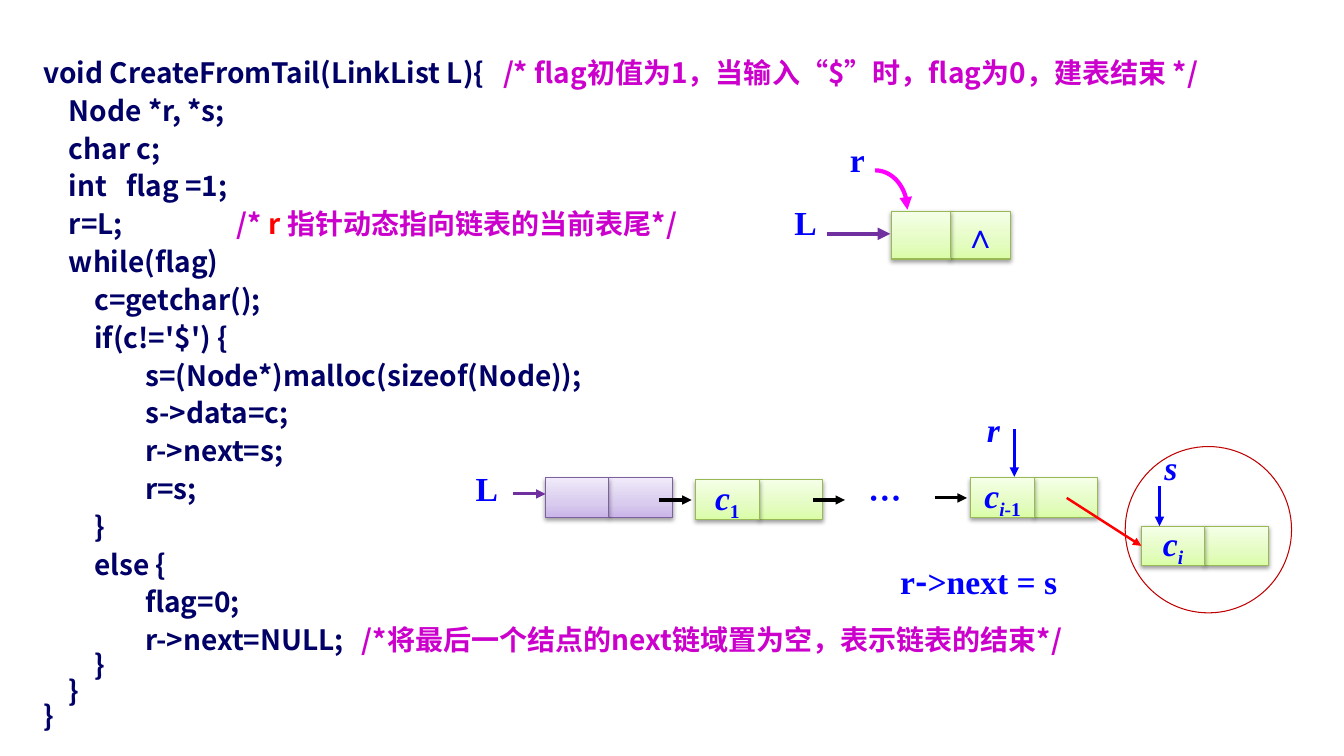
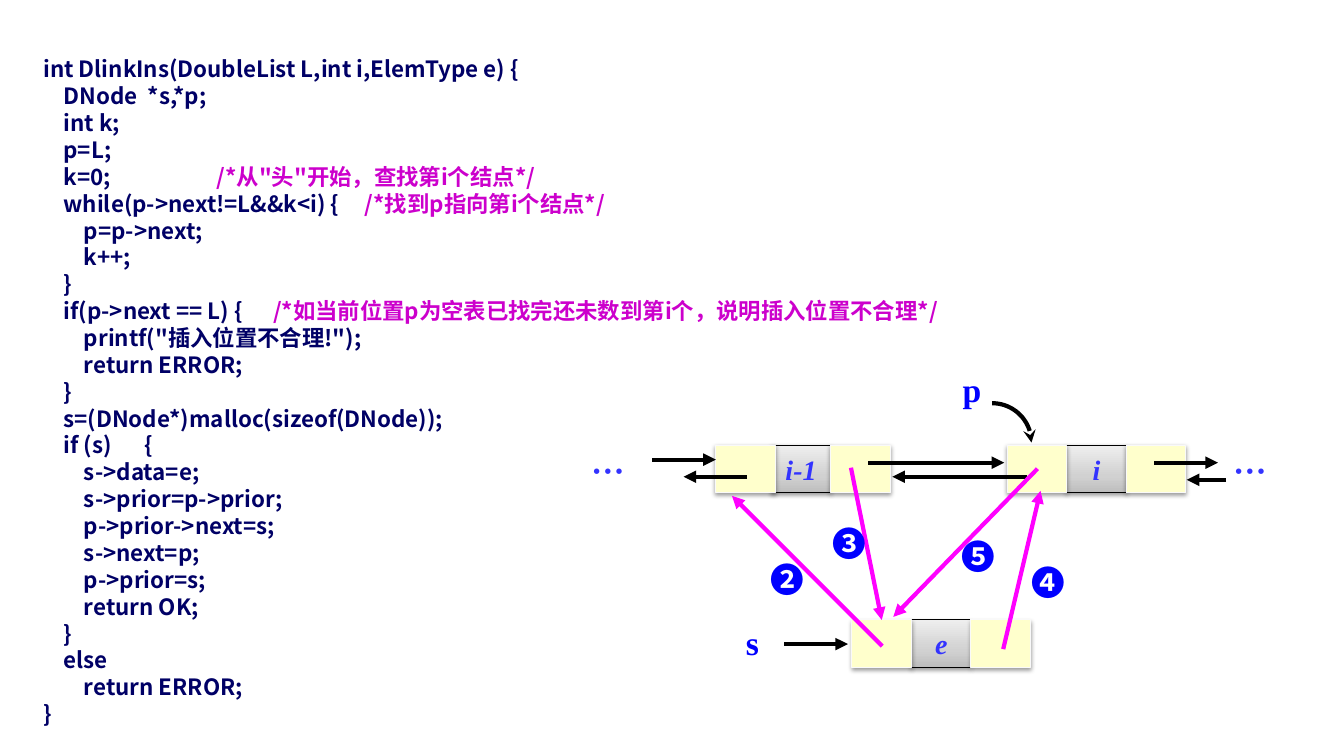
import dataclasses
import math
import lxml.etree
import pptx
import pptx.util
import pptx.dml.color
import pptx.enum.shapes
import pptx.enum.text
import pptx.oxml.ns

Shape = pptx.enum.shapes.MSO_SHAPE
Align = pptx.enum.text.PP_ALIGN
Pt = pptx.util.Pt
qn = pptx.oxml.ns.qn


@dataclasses.dataclass(frozen=True)
class Theme:
    """Colours, faces and type sizes shared by the slides."""
    code: str = "000066"
    note: str = "CC00CC"
    hot: str = "FF0000"
    blue: str = "0000FF"
    pale: str = "3333FF"
    black: str = "000000"
    pink: str = "FF00FF"
    plum: str = "7030A0"
    ring: str = "C00000"
    sans: str = "Noto Sans CJK SC"
    serif: str = "Times New Roman"
    big: int = 24
    mid: int = 20
    small: int = 16
    green: tuple = (("DAFDA7", "E4FCC2", "F5FFE7"), "98B955")
    mauve: tuple = (("C9B5E8", "D8CBEE", "F0EAF9"), "7D60A0")
    grey: tuple = (("BDBDBD", "D1D1D1", "EEEEEE"), "000000")
    cream: tuple = (("FFFFCC",), "F9F9F9")


T = Theme()


def px(n):
    """Turn px into EMU."""
    return pptx.util.Emu(int(n * 9144))


def rgb(ink):
    """Turn a hex string into a colour."""
    return pptx.dml.color.RGBColor.from_string(ink)


def node(up, tag, **at):
    """Append an XML element to a parent."""
    return lxml.etree.SubElement(up, qn(tag), at)


def write(para, text, ink, size, face, slant=None, base=0):
    """Add one bold run to a paragraph."""
    run = para.add_run()
    run.text = text
    font = run.font
    font.size, font.bold, font.name = Pt(size), True, face
    font.italic = slant
    font.color.rgb = rgb(ink)
    props = run._r.get_or_add_rPr()
    node(props, "a:ea", typeface=face)
    if base:
        props.set("baseline", str(base * 1000))


def stroke(shape, ink, wide, tip=None):
    """Style an outline, with an arrowhead at its end if asked."""
    shape.line.color.rgb = rgb(ink)
    shape.line.width = Pt(wide)
    if tip:
        node(shape.line._get_or_add_ln(), "a:tailEnd", type=tip)


def shade(shape, inks):
    """Fill a shape with one colour or a rising three-stop blend."""
    if len(inks) == 1:
        shape.fill.solid()
        shape.fill.fore_color.rgb = rgb(inks[0])
        return
    shape.fill.gradient()
    props = shape._element.spPr
    stops = props.find(".//" + qn("a:gsLst"))
    for old in list(stops):
        stops.remove(old)
    for pos, ink in zip((0, 35, 100), inks):
        node(node(stops, "a:gs", pos=str(pos * 1000)), "a:srgbClr", val=ink)
    props.find(".//" + qn("a:lin")).set("ang", "16200000")


class Pen:
    """Draws diagram parts relative to a corner of a slide."""

    def __init__(self, slide, x, y):
        """Keep the shape tree and the corner."""
        self.tree, self.x, self.y = slide.shapes, x, y

    def spot(self, x, y):
        """Place a relative point on the slide."""
        return px(self.x + x), px(self.y + y)

    def form(self, kind, x, y, w, h, ink, wide):
        """Draw an unfilled preset shape."""
        shape = self.tree.add_shape(kind, *self.spot(x, y), px(w), px(h))
        shape.fill.background()
        shape.shadow.inherit = False
        stroke(shape, ink, wide)
        return shape

    def sweep(self, x, y, w, h, ink, tip):
        """Draw a quarter turn from the top left to the bottom right."""
        turns = [math.pi / 2 * n / 24 for n in range(25)]
        dots = [self.spot(x + w * math.sin(a), y + h - h * math.cos(a)) for a in turns]
        trace = self.tree.build_freeform(*dots[0])
        trace.add_line_segments(dots[1:], close=False)
        shape = trace.convert_to_shape()
        shape.fill.background()
        shape.shadow.inherit = False
        stroke(shape, ink, 3, tip)

    def cell(self, x, y, w, h, look, runs=(), ink=T.blue, size=T.big):
        """Draw one shadowed field of a list node."""
        inks, edge = look
        shape = self.form(Shape.RECTANGLE, x, y, w, h, edge, 0.75)
        shade(shape, inks)
        glow = node(shape._element.spPr.find(qn("a:effectLst")), "a:outerShdw",
                    blurRad="40000", dist="20000", dir="5400000", rotWithShape="0")
        node(node(glow, "a:srgbClr", val=T.black), "a:alpha", val="38000")
        if runs:
            frame = shape.text_frame
            frame.word_wrap = False
            frame.vertical_anchor = pptx.enum.text.MSO_ANCHOR.MIDDLE
            para = frame.paragraphs[0]
            para.alignment = Align.CENTER
            for text, slant, base in runs:
                write(para, text, ink, size, T.serif, slant, base)
        return shape

    def pair(self, x, y, look=T.green, runs=(), w=63, h=39):
        """Draw a data and next node, and return its data field."""
        self.cell(x + w, y, w, h, look)
        return self.cell(x, y, w, h, look, runs)

    def trio(self, x, y, text, lead=59):
        """Draw a doubly linked node, and return its left field."""
        self.cell(x + lead, y, 59, 47, T.grey, [(text, True, 0)], T.pale, T.mid)
        self.cell(x + lead + 59, y, 59, 47, T.cream)
        return self.cell(x, y, 59, 47, T.cream)

    def label(self, x, y, *runs, w=63, ink=T.blue, slant=None, side=Align.LEFT):
        """Set a line of (text, face) runs."""
        box = self.tree.add_textbox(*self.spot(x, y), px(w), px(50))
        box.text_frame.word_wrap = True
        para = box.text_frame.paragraphs[0]
        para.alignment = side
        for text, face in runs:
            write(para, text, ink, T.big, face, slant)

    def link(self, start, end, ink=T.black, wide=3, goal=None, site=0):
        """Draw an arrow, joined to a goal shape if given."""
        line = self.tree.add_connector(pptx.enum.shapes.MSO_CONNECTOR.STRAIGHT,
                                       *self.spot(*start), *self.spot(*end))
        if goal is not None:
            line.end_connect(goal, site)
        stroke(line, ink, wide, "triangle")
        node(line._element.spPr, "a:effectLst")


def code(deck, lines, size, pitch, gap=0, tail=0):
    """Add a slide with a code listing, its last lines set tighter."""
    slide = deck.slides.add_slide(deck.slide_layouts[1])
    title = slide.shapes.title._element
    title.getparent().remove(title)
    body = slide.placeholders[1]
    body.left, body.top, body.width, body.height = map(px, (33, 50, 1256, 667))
    frame = body.text_frame
    frame.auto_size = pptx.enum.text.MSO_AUTO_SIZE.NONE
    frame.word_wrap = True
    for at, line in enumerate(lines):
        para = frame.paragraphs[0] if at == 0 else frame.add_paragraph()
        text, stop, notes = (line, 0, ()) if isinstance(line, str) else line
        props = para._p.get_or_add_pPr()
        props.set("marL", "0")
        props.set("indent", "0")
        node(props, "a:buNone")
        if stop:
            props.set("defTabSz", str(int(px(stop))))
        tight = at >= len(lines) - tail
        para.line_spacing = Pt(18 if tight else pitch)
        para.space_before = Pt(0 if at == 0 or tight else gap)
        para.space_after = Pt(0)
        write(para, text, T.code, size, T.sans)
        for part, ink in notes:
            write(para, part, ink, size, T.sans)
    return slide


def head(slide, x, y):
    """Draw the empty list with its two pointers."""
    pen = Pen(slide, x, y)
    pen.cell(165, 77, 59, 47, T.green, [("∧", None, 0)])
    pen.cell(106, 77, 59, 47, T.green)
    pen.link((42, 99), (105, 99), T.plum)
    pen.label(0, 62, ("L", T.serif))
    pen.sweep(90, 36, 32, 39, T.pink, "triangle")
    pen.label(55, 0, ("r", T.serif))


def chain(slide, x, y):
    """Draw the list that gains a node at its tail."""
    pen = Pen(slide, x, y)
    pen.form(Shape.OVAL, 656, 43, 165, 165, T.ring, 0.75)
    pen.pair(81, 74, T.mauve)
    pen.pair(230, 76, runs=[("c", True, 0), ("1", False, -25)])
    pen.pair(503, 74, runs=[("c", True, 0), ("i", True, -25), ("-1", False, -25)])
    fresh = pen.pair(672, 122, runs=[("c", True, 0), ("i", True, -25)])
    pen.link((49, 90), (81, 90), T.plum, 2.25)
    for left, top in ((194, 96), (346, 96), (467, 94)):
        pen.link((left, top), (left + 32, top), wide=2.25)
    pen.link((546, 26), (546, 73), T.blue, 2.25)
    pen.link((690, 82), (690, 122), T.blue, 2.25)
    pen.link((598, 94), (672, 141), T.hot, 1.75, fresh, 1)
    pen.label(2, 59, ("L", T.serif))
    pen.label(392, 69, ("…", T.sans))
    pen.label(509, 1, ("r", T.serif), slant=True)
    pen.label(685, 38, ("s", T.serif), slant=True)
    pen.label(423, 152, ("r", T.serif), ("-", T.sans), (">next = s", T.serif), w=251)


def insert(slide, x, y):
    """Draw a node being put into a doubly linked list."""
    pen = Pen(slide, x, y)
    pen.trio(140, 82, "i-1", 55)
    pen.trio(429, 82, "i")
    fresh = pen.trio(275, 255, "e")
    for left in (2, 639):
        pen.label(left, 82, ("…", T.sans), ink=T.pale, side=Align.CENTER)
    for start, end, top in ((77, 140, 96), (291, 426, 99), (575, 638, 99),
                            (171, 108, 113), (449, 315, 113), (646, 607, 116),
                            (208, 271, 279)):
        pen.link((start, top), (end, top))
    pen.sweep(414, 40, 39, 39, T.black, "stealth")
    for text, left, top in (("p", 375, 1), ("s", 160, 252)):
        pen.label(left, top, (text, T.serif))
    for start, end in (((425, 284), (462, 127)), ((459, 105), (316, 252)),
                       ((305, 281), (156, 132))):
        pen.link(start, end, T.pink)
    pen.link((274, 104), (304, 255), T.pink, goal=fresh)
    for mark, left, top in (("❷", 184, 190), ("❸", 246, 154),
                            ("❹", 443, 193), ("❺", 374, 167)):
        pen.label(left, top, (mark, T.sans))


DEEP = " " * 16

TAIL = [
    ("void CreateFromTail(LinkList L){", 456,
     [("\t/* flag初值为1，当输入“$”时，flag为0，建表结束 */", T.note)]),
    "    Node *r, *s;", "    char c;", "    int   flag =1;",
    ("    r=L;", 192,
     [("\t/* ", T.note), ("r ", T.hot), ("指针动态指向链表的当前表尾*/", T.note)]),
    "    while(flag)", "        c=getchar();", "        if(c!='$') {",
    DEEP + "s=(Node*)malloc(sizeof(Node));", DEEP + "s->data=c;",
    DEEP + "r->next=s;", DEEP + "r=s;",
    "        }", "        else {", DEEP + "flag=0;",
    (DEEP + "r->next=NULL;", 316,
     [("\t/*将最后一个结点的next链域置为空，表示链表的结束*/", T.note)]),
    "        }", "    }", "}",
]

DOUBLE = [
    "int DlinkIns(DoubleList L,int i,ElemType e) {",
    "    DNode  *s,*p;", "    int k;", "    p=L;",
    ("    k=0;", 172, [("\t/*从\"头\"开始，查找第i个结点*/", T.note)]),
    ("    while(p->next!=L&&k<i) {", 319, [("\t/*找到p指向第i个结点*/", T.note)]),
    "        p=p->next;", "        k++;", "    }",
    ("    if(p->next == L) {", 228,
     [("\t/*如当前位置p为空表已找完还未数到第i个，说明插入位置不合理*/", T.note)]),
    "        printf(\"插入位置不合理!\");", "        return ERROR;", "    }",
    "    s=(DNode*)malloc(sizeof(DNode));", ("    if (s)\t{", 100, ()),
    "        s->data=e;", "        s->prior=p->prior;", "        p->prior->next=s;",
    "        s->next=p;", "        p->prior=s;", "        return OK;", "    }",
    "    else", "        return ERROR;", "}",
]


def main():
    """Build both slides and save them."""
    deck = pptx.Presentation()
    deck.slide_width, deck.slide_height = px(1333), px(750)
    first = code(deck, TAIL, T.mid, 24, gap=3, tail=3)
    chain(first, 460, 400)
    head(first, 778, 133)
    insert(code(deck, DOUBLE, T.small, 19.2), 570, 360)
    deck.save("out.pptx")


if __name__ == "__main__":
    main()
